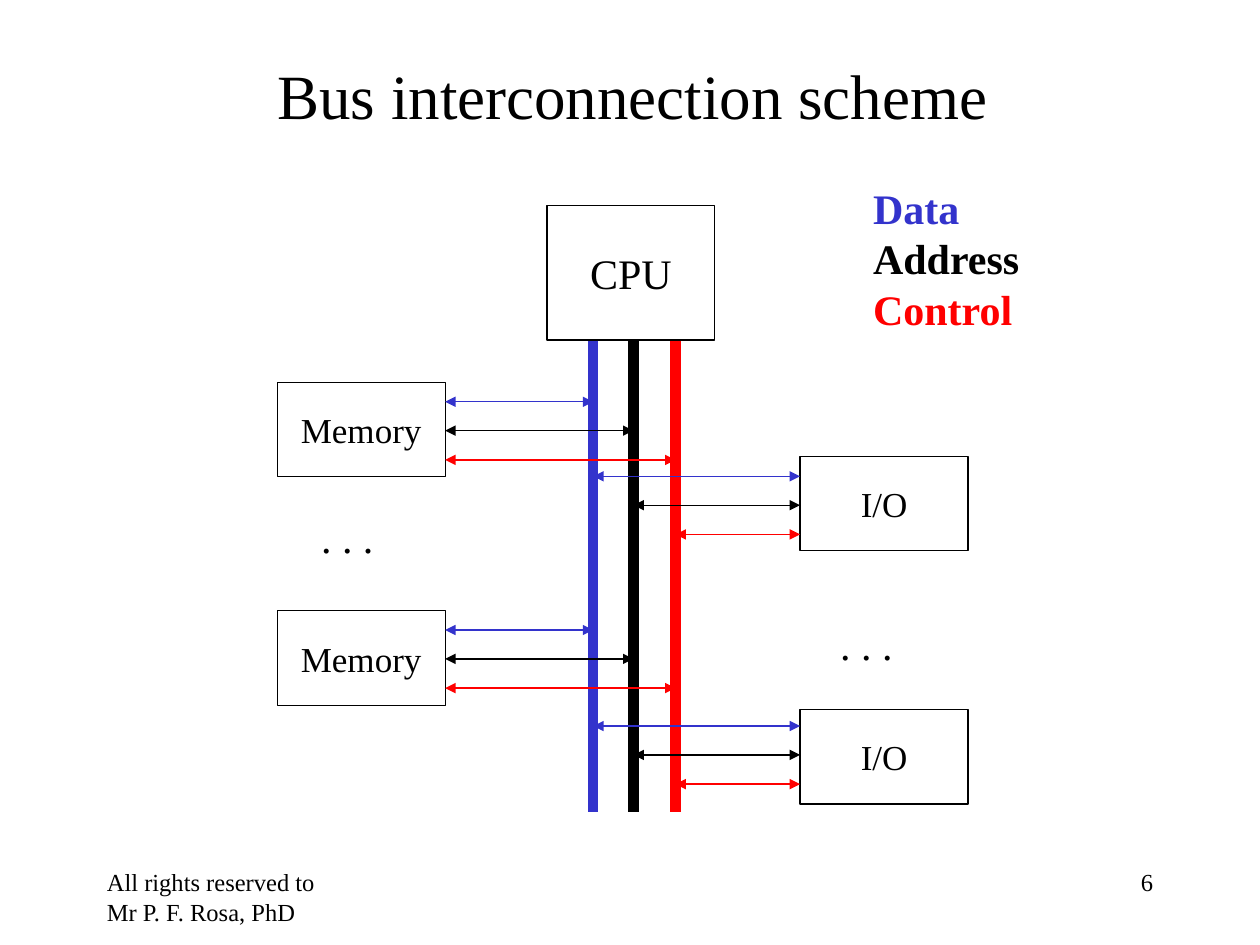
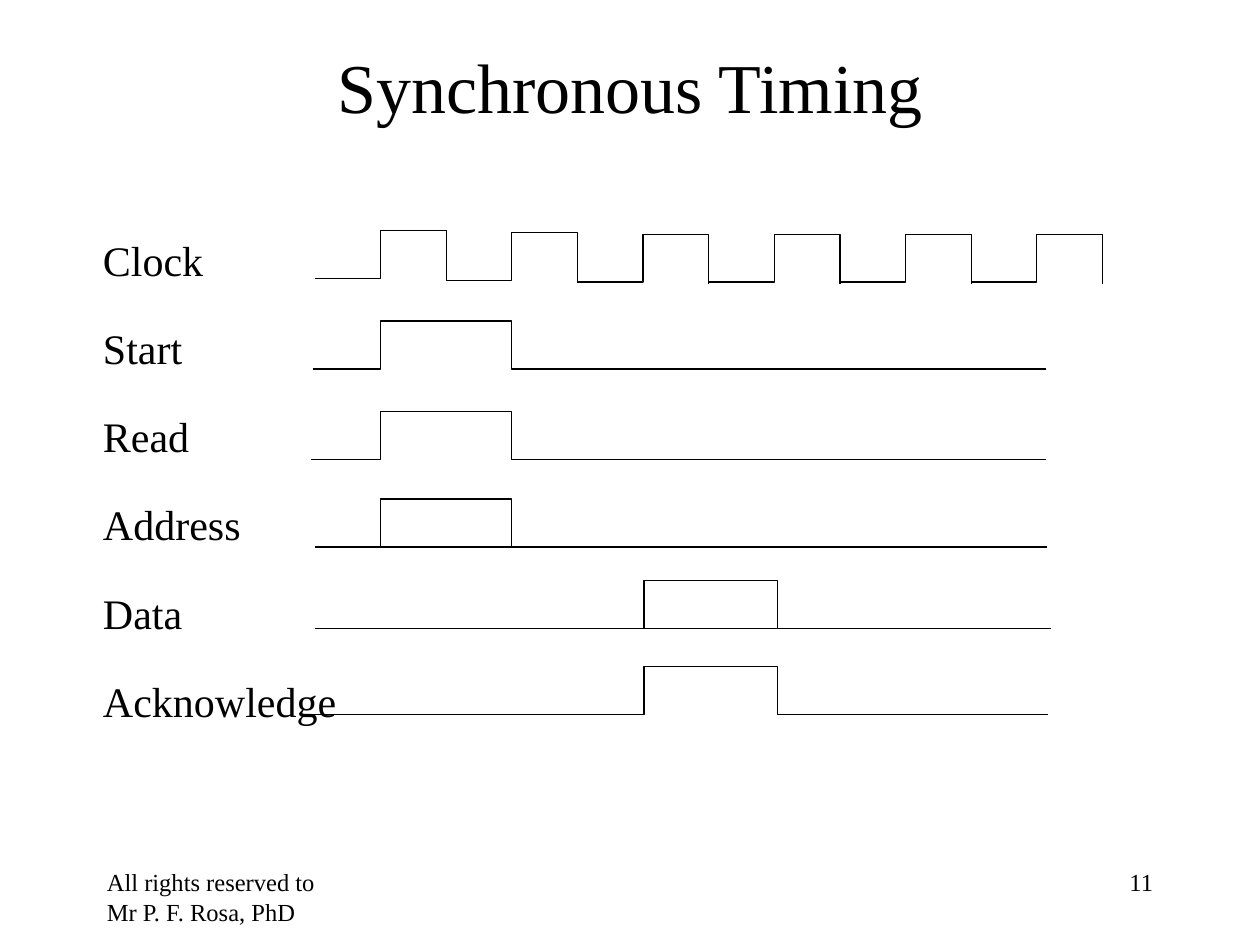
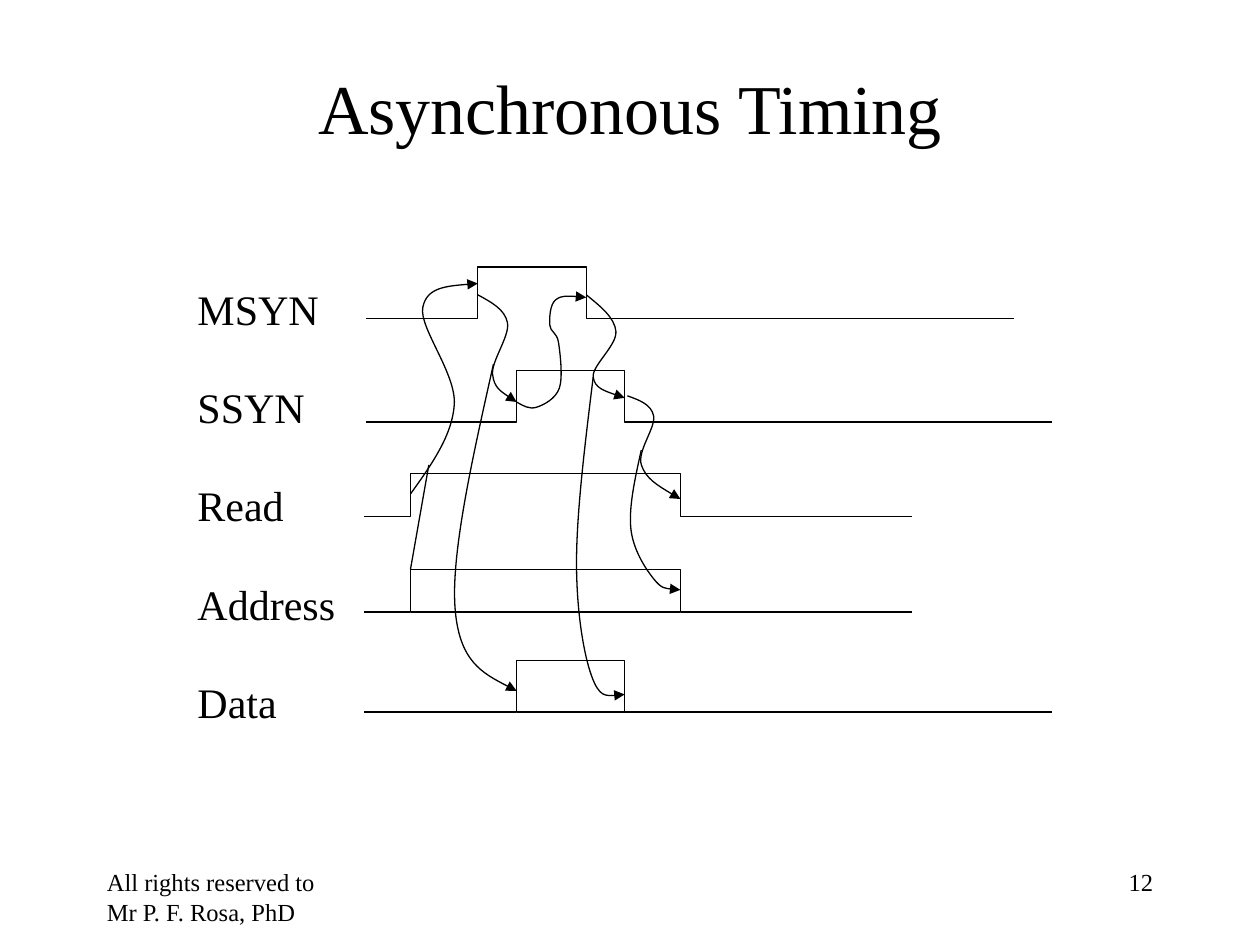
from collections import namedtuple
from dataclasses import dataclass

from lxml.etree import SubElement
from pptx import Presentation
from pptx.dml.color import RGBColor
from pptx.enum.shapes import MSO_CONNECTOR, MSO_SHAPE
from pptx.enum.text import MSO_ANCHOR, PP_ALIGN
from pptx.oxml.ns import qn
from pptx.util import Pt


@dataclass(frozen=True)
class Theme:
    font: str = "Times New Roman"
    ink: str = "000000"
    data: str = "3333CC"
    address: str = "000000"
    control: str = "FF0000"
    title: int = 40
    long_title: int = 36
    body: int = 24
    module: int = 20
    footer: int = 14
    thin: float = 0.75
    bus: float = 6


THEME = Theme()
Bus = namedtuple("Bus", "x color port_offset")
Module = namedtuple("Module", "label left top port_x first_port_y")


@dataclass(frozen=True)
class Signal:
    """A trace that stays low except between its rise and its fall."""
    name: str
    start: float
    rise: float
    fall: float
    end: float
    low: float
    height: float
    floor: bool = False

    def on_rise(self, share):
        """Point on the rising edge, at a share of the height above low."""
        return self.rise, self.low - share * self.height

    def on_fall(self, share):
        return self.fall, self.low - share * self.height


def shift(point, dx, dy):
    return point[0] + dx, point[1] + dy


def midpoint(a, b):
    return (a[0] + b[0]) / 2, (a[1] + b[1]) / 2


def smooth(knots):
    """Return a start, then two handles and a knot for each Bézier segment.

    Handles at an inner knot run parallel to the chord of its neighbours.
    Each end handle lies halfway between the end and the nearest inner handle.
    """
    arriving, leaving = list(knots), list(knots)
    for i in range(1, len(knots) - 1):
        (left, top), (right, bottom) = knots[i - 1], knots[i + 1]
        dx, dy = (right - left) / 6, (bottom - top) / 6
        arriving[i] = shift(knots[i], -dx, -dy)
        leaving[i] = shift(knots[i], dx, dy)
    leaving[0] = midpoint(knots[0], arriving[1])
    arriving[-1] = midpoint(leaving[-2], knots[-1])

    points = [knots[0]]
    for i in range(1, len(knots)):
        points += [leaving[i - 1], arriving[i], knots[i]]
    return points


def write(frame, text, *, size, colors=(THEME.ink,), bold=False,
          align=PP_ALIGN.LEFT, anchor=MSO_ANCHOR.TOP, spacing=None):
    """Write one paragraph per line of text, cycling through the colors."""
    frame.word_wrap = True
    frame.vertical_anchor = anchor
    for index, line in enumerate(text.split("\n")):
        paragraph = frame.paragraphs[0] if index == 0 else frame.add_paragraph()
        paragraph.alignment = align
        paragraph.line_spacing = spacing
        run = paragraph.add_run()
        run.text = line
        run.font.name = THEME.font
        run.font.size = Pt(size)
        run.font.bold = bold
        run.font.color.rgb = RGBColor.from_string(colors[index % len(colors)])


class Deck:
    def __init__(self, theme):
        self.theme = theme
        self.presentation = Presentation()
        self.presentation.slide_width = Pt(720)
        self.presentation.slide_height = Pt(540)
        self.slide = None

    def start_slide(self, title, number, *, left=54, top, height, size):
        blank = self.presentation.slide_layouts[6]
        self.slide = self.presentation.slides.add_slide(blank)
        self.text("All rights reserved to Mr P. F. Rosa, PhD", 54, 492, 150, 36,
                  size=self.theme.footer)
        self.text(str(number), 516, 492, 150, 36, size=self.theme.footer,
                  align=PP_ALIGN.RIGHT)
        self.text(title, left, top, 612, height, size=size,
                  align=PP_ALIGN.CENTER, anchor=MSO_ANCHOR.MIDDLE)

    def text(self, text, left, top, width, height, **style):
        box = self.slide.shapes.add_textbox(Pt(left), Pt(top), Pt(width), Pt(height))
        write(box.text_frame, text, **style)

    def block(self, label, left, top, width, height, size):
        block = self.slide.shapes.add_shape(
            MSO_SHAPE.RECTANGLE, Pt(left), Pt(top), Pt(width), Pt(height))
        self._outline(block)
        write(block.text_frame, label, size=size,
              align=PP_ALIGN.CENTER, anchor=MSO_ANCHOR.MIDDLE)

    def line(self, start, end, *, color=None, width=None, arrows=()):
        connector = self.slide.shapes.add_connector(
            MSO_CONNECTOR.STRAIGHT, *map(Pt, (*start, *end)))
        self._stroke(connector, color, width, arrows)
        SubElement(connector._element.spPr, qn("a:effectLst"))

    def polyline(self, points, arrows=()):
        (x, y), *rest = [(Pt(x), Pt(y)) for x, y in points]
        builder = self.slide.shapes.build_freeform(x, y)
        outline = builder.add_line_segments(rest, close=False).convert_to_shape()
        self._outline(outline, arrows)
        return outline

    def curve(self, start, steps, end, arrows=("tailEnd",)):
        """Curve from start by successive steps to end; return its last bend."""
        knots = [start]
        for step in steps:
            knots.append(shift(knots[-1], *step))
        last_bend = knots[-1]
        outline = self.polyline(smooth([*knots, end]), arrows)

        contour = outline._element.find(".//" + qn("a:path"))
        straights = contour.findall(qn("a:lnTo"))
        for first in range(0, len(straights), 3):
            bezier = SubElement(contour, qn("a:cubicBezTo"))
            for straight in straights[first:first + 3]:
                bezier.append(straight[0])
                contour.remove(straight)
        return last_bend

    def pulse(self, signal):
        foot, top = signal.on_rise(0), signal.on_rise(1)
        far_top, far_foot = signal.on_fall(1), signal.on_fall(0)
        self.polyline([(signal.start, signal.low), foot, top,
                       far_top, far_foot, (signal.end, signal.low)])
        if signal.floor:
            self.line(foot, far_foot)

    def _outline(self, shape, arrows=()):
        shape.shadow.inherit = False
        shape.fill.background()
        self._stroke(shape, arrows=arrows)

    def _stroke(self, shape, color=None, width=None, arrows=()):
        shape.line.color.rgb = RGBColor.from_string(color or self.theme.ink)
        shape.line.width = Pt(width or self.theme.thin)
        stroke = shape._element.spPr.find(qn("a:ln"))
        for end in arrows:
            SubElement(stroke, qn(f"a:{end}"), type="triangle")


def bus_scheme(deck):
    theme = deck.theme
    deck.start_slide("Bus interconnection scheme", 6, left=55.5, top=23,
                     height=62, size=theme.long_title)
    block_width, module_height = 96, 54
    deck.block("CPU", 312.5, 117.4, block_width, 77, theme.body)

    memory_left, io_left = 158.4, 457.2
    memory_port = memory_left + block_width
    modules = [
        Module("Memory", memory_left, 218.4, memory_port, 229.6),
        Module("Memory", memory_left, 349, memory_port, 360),
        Module("I/O", io_left, 260.8, io_left, 272.2),
        Module("I/O", io_left, 405.4, io_left, 414.9),
    ]
    buses = [Bus(339, theme.data, 0), Bus(362, theme.address, 16.5),
             Bus(386, theme.control, 33.2)]

    for module in modules:
        deck.block(module.label, module.left, module.top,
                   block_width, module_height, theme.module)
    for bus in buses:
        deck.line((bus.x, 194.6), (bus.x, 464), color=bus.color, width=theme.bus)
    for module in modules:
        for bus in buses:
            y = module.first_port_y + bus.port_offset
            deck.line((module.port_x, y), (bus.x, y), color=bus.color,
                      arrows=("headEnd", "tailEnd"))

    for left, top in ((176.4, 288.7), (473, 350)):
        deck.text(". . .", left, top, 45, 36, size=theme.body)
    deck.text("Data\nAddress\nControl", 491.8, 100.8, 98.6, 93.6,
              size=theme.body, bold=True,
              colors=(theme.data, theme.address, theme.control))


def clock(deck, start, half_period, low, height, cycles):
    """Draw the clock; its first cycles each sit one point lower."""
    for cycle in range(cycles):
        x = start + cycle * 2 * half_period
        middle, end = x + half_period, x + 2 * half_period
        base = low + min(cycle, 2)
        top = base - height
        deck.polyline([(x, base), (middle, base), (middle, top),
                       (end, top), (end, base + 1)])


def synchronous_timing(deck):
    deck.start_slide("Synchronous Timing", 11, top=18.7, height=60.5,
                     size=deck.theme.title)
    height = 27.3
    clock(deck, 180, 37.5, 159.2, height, cycles=6)

    request, reply = (217.4, 292.5), (368, 444.3)
    signals = [
        Signal("Start", 178.6, *request, 598, 210.8, height),
        Signal("Read", 178, *request, 598, 262.4, height),
        Signal("Address", 180, *request, 598.4, 312.5, height, floor=True),
        Signal("Data", 180, *reply, 600.6, 359.2, height, floor=True),
        Signal("Acknowledge", 178, *reply, 599, 408.3, height),
    ]
    for signal in signals:
        deck.pulse(signal)
    names = ["Clock"] + [signal.name for signal in signals]
    deck.text("\n".join(names), 51.8, 108.7, 150, 309.6,
              size=deck.theme.body, spacing=1.75)


def asynchronous_timing(deck):
    deck.start_slide("Asynchronous Timing", 12, top=26, height=70,
                     size=deck.theme.title)
    master, slave, request = (273, 335), (295.2, 357), (234.6, 388.8)
    tall, short = 29.4, 24.5
    msyn = Signal("MSYN", 209.4, *master, 579.6, 182, tall)
    ssyn = Signal("SSYN", 209.4, *slave, 601.4, 241.2, tall)
    read = Signal("Read", 208.2, *request, 521.4, 295.2, short)
    address = Signal("Address", 208.2, *request, 521.4, 349.8, short, floor=True)
    data = Signal("Data", 208.2, *slave, 601.4, 406.8, tall, floor=True)

    signals = (msyn, ssyn, read, address, data)
    for signal in signals:
        deck.pulse(signal)
    deck.text("\n".join(signal.name for signal in signals), 105.8, 131, 94, 288,
              size=deck.theme.body, spacing=1.95)

    # Read and Address together raise MSYN.
    read_asserted = read.on_rise(0.53)
    deck.curve(read_asserted, [(25, -51), (-18, -55.5)], msyn.on_rise(0.68))
    deck.curve(address.on_rise(1), [], shift(read_asserted, 10.5, -16.5), arrows=())

    # MSYN raises SSYN, and the same arrow forks down to Data.
    ssyn_asserted = ssyn.on_rise(0.39)
    fork = deck.curve(msyn.on_rise(0.46), [(17, 16), (-8.5, 29.5)], ssyn_asserted)
    deck.curve(shift(fork, 0.5, -6), [(-22, 139)], data.on_rise(0.41))

    # SSYN lets MSYN fall.
    deck.curve(ssyn_asserted,
               [(11.5, 3), (13, -11), (-0.5, -26), (-5, -10), (3.5, -14.5)],
               msyn.on_fall(0.41))

    # MSYN lets SSYN fall, and the same arrow forks down to Data.
    fork = deck.curve(msyn.on_fall(0.46), [(17, 21), (-13, 26)], ssyn.on_fall(0.47))
    deck.curve(fork, [(-9.5, 104.5), (8.5, 66)], data.on_fall(0.34))

    # SSYN lets Read fall, and the same arrow forks down to Address.
    fork = deck.curve(shift(ssyn.on_fall(0.51), 1.5, 0), [(15, 11.5), (-7, 28)],
                      read.on_fall(0.41))
    deck.curve(shift(fork, 0, -8.5), [(-6, 44.5), (13, 29)], address.on_fall(0.52))


def main():
    deck = Deck(THEME)
    bus_scheme(deck)
    synchronous_timing(deck)
    asynchronous_timing(deck)
    deck.presentation.save("out.pptx")


if __name__ == "__main__":
    main()
